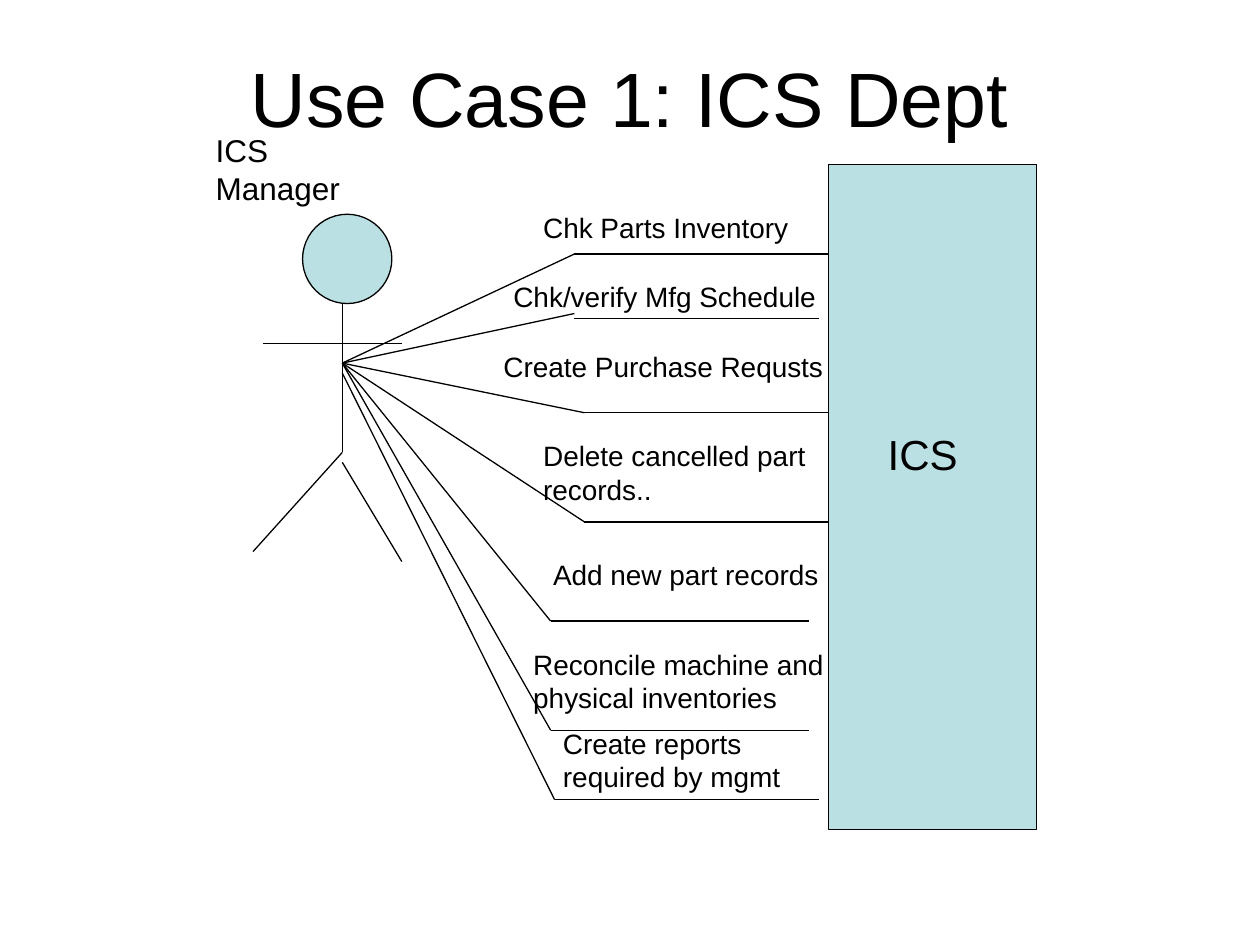
from lxml.etree import SubElement
from pptx import Presentation
from pptx.dml.color import RGBColor
from pptx.enum.shapes import MSO_CONNECTOR, MSO_SHAPE
from pptx.enum.text import MSO_ANCHOR, PP_ALIGN
from pptx.oxml.ns import qn
from pptx.util import Inches, Mm, Pt

INK, TEAL = "000000", "BBE0E3"
rgb = RGBColor.from_string
X0, Y0, U = Mm(1), Mm(1.2), Mm(2)  # grid origin and cell size

prs = Presentation()
prs.slide_width, prs.slide_height = Inches(10), Inches(7.5)
s = prs.slides.add_slide(prs.slide_layouts[5])


def add_line(c1, r1, c2, r2):
    """Draw a thin line between two grid points."""
    ln = s.shapes.add_connector(
        MSO_CONNECTOR.STRAIGHT,
        int(X0 + c1 * U), int(Y0 + r1 * U), int(X0 + c2 * U), int(Y0 + r2 * U))
    ln.line.color.rgb = rgb(INK)
    ln.line.width = Pt(0.75)
    SubElement(ln._element.spPr, qn("a:effectLst"))


def write(sp, text, size, align=PP_ALIGN.LEFT, before=0):
    tf = sp.text_frame
    tf.word_wrap = True
    tf.text = text
    p = tf.paragraphs[0]
    p.alignment = align
    p.space_before = Pt(before)
    for r in p.runs:
        r.font.size = Pt(size)
        r.font.name = "Arial"
        r.font.color.rgb = rgb(INK)


title = s.shapes.title
title.left, title.top = Inches(0.5), Inches(0.3)
title.width, title.height = Inches(9), Inches(0.93)
write(title, "Use Case 1: ICS Dept", 44, PP_ALIGN.CENTER)
title.text_frame.vertical_anchor = MSO_ANCHOR.MIDDLE

# Actor's head and system box: column, row, columns wide, rows high
for kind, col, row, w, h in [
    (MSO_SHAPE.OVAL, 30, 21, 9, 9),
    (MSO_SHAPE.RECTANGLE, 83, 16, 21, 67),
]:
    sp = s.shapes.add_shape(kind, X0 + col * U, Y0 + row * U, w * U, h * U)
    sp.shadow.inherit = False
    sp.fill.solid()
    sp.fill.fore_color.rgb = rgb(TEAL)
    sp.line.color.rgb = rgb(INK)
    sp.line.width = Pt(0.75)

# Actor's body, legs and arms
BODY = 34
add_line(BODY, 30, BODY, 45)
add_line(BODY, 45, 25, 55)
add_line(BODY, 46, 40, 56)
add_line(26, 34, 40, 34)

# Use cases: start row, bend column, bend row, shelf row, shelf end column
for start, bend, row, shelf, end in [
    (36, 57.4, 25, 25, 83),
    (36, 57.4, 31, 31.5, 82),
    (36, 58.4, 41, 41, 83),
    (36, 58.4, 52, 52, 83),
    (36, 55, 62, 62, 81),
    (36, 55, 73, 73, 81),
    (37, 55.4, 80, 80, 82),
]:
    add_line(BODY, start, bend, row)
    add_line(bend, shelf, end, shelf)

# Labels: text, column, row, columns wide, height, size, space before, alignment
LEFT, CENTER = PP_ALIGN.LEFT, PP_ALIGN.CENTER
use_cases = [
    ("Chk Parts Inventory", 53, 20, 0.37),
    ("Chk/verify Mfg Schedule", 50, 27, 0.37),
    ("Create Purchase Requsts", 49, 34, 0.37),
    ("Delete cancelled part records..", 53, 43, 0.64),
    ("Add new part records", 54, 55, 0.37),
    ("Reconcile machine and physical inventories", 52, 64, 0.64),
    ("Create reports \vrequired by mgmt", 55, 72, 0.64),
]
labels = [(t, c, r, 36, h, 16, 10, LEFT) for t, c, r, h in use_cases]
labels += [
    ("ICS", 84, 42, 17, 0.5, 24, 15, CENTER),
    ("ICS Manager", 20, 12, 16, 0.7, 18, 11.2, LEFT),
]
for text, col, row, w, h, size, before, align in labels:
    tb = s.shapes.add_textbox(X0 + col * U, Y0 + row * U, w * U, Inches(h))
    write(tb, text, size, align, before)

prs.save("out.pptx")
